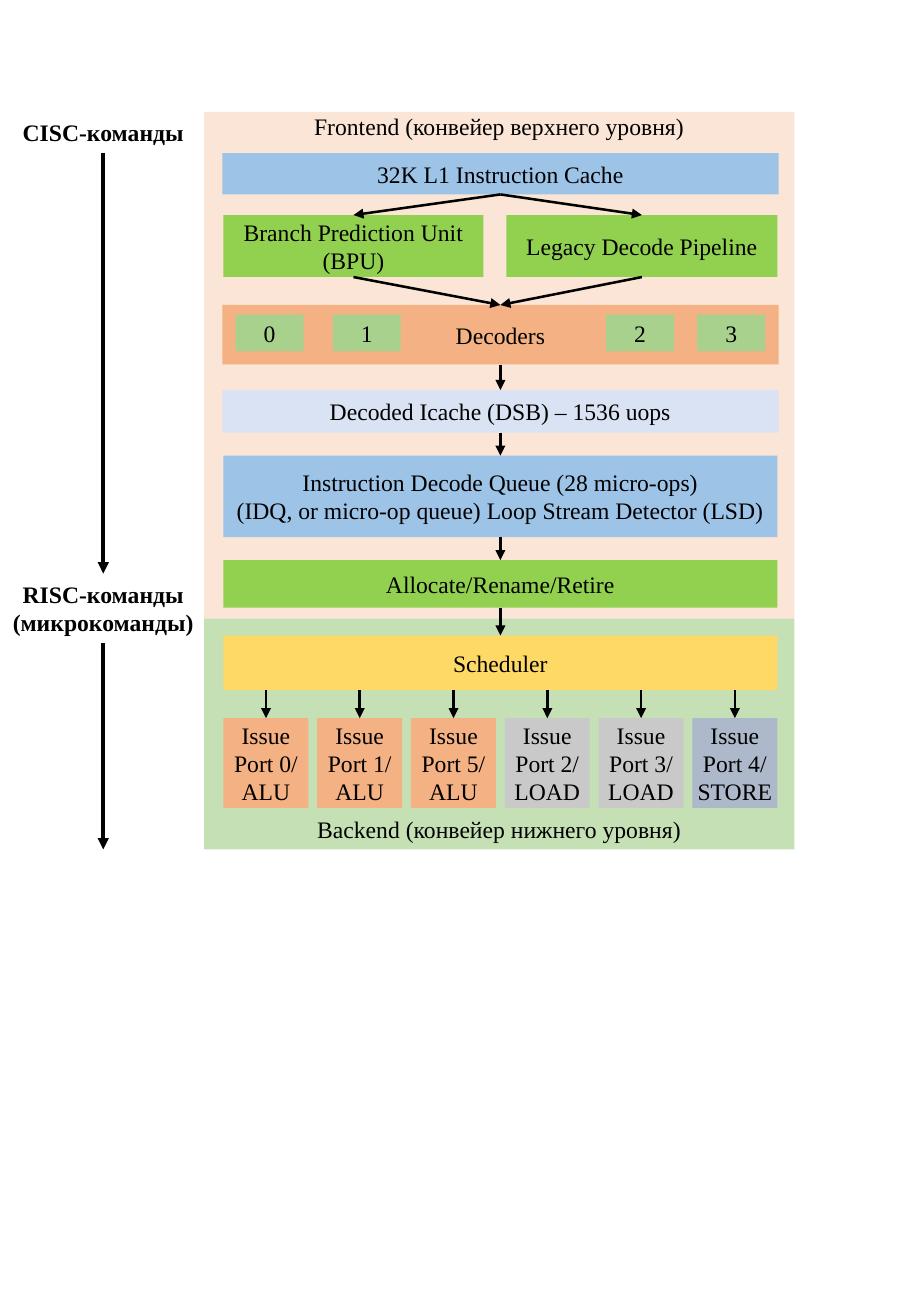
from pptx import Presentation
from pptx.dml.color import RGBColor
from pptx.enum.shapes import MSO_CONNECTOR, MSO_SHAPE
from pptx.enum.text import MSO_ANCHOR, PP_ALIGN
from pptx.oxml.ns import qn
from pptx.util import Inches, Pt
from lxml import etree

RECT = MSO_SHAPE.RECTANGLE
STRAIGHT = MSO_CONNECTOR.STRAIGHT
TOP, MIDDLE, BOTTOM = MSO_ANCHOR.TOP, MSO_ANCHOR.MIDDLE, MSO_ANCHOR.BOTTOM
CENTER = PP_ALIGN.CENTER
TOP_SITE, BOTTOM_SITE = 0, 2

FONT = "Times New Roman"
BLACK, BLUE, PALE_BLUE, GREEN = "000000", "9DC3E6", "DAE3F3", "92D050"
ORANGE, GREY, STEEL, YELLOW = "F4B183", "C9C9C9", "ADB9CA", "FFD966"
PEACH, MINT, SAGE = "FBE5D6", "C5E0B4", "A9D18E"

LEFT, WIDTH = 1.84, 4.56
PORT_W = 0.7
PORTS = [("0", "ALU", ORANGE), ("1", "ALU", ORANGE), ("5", "ALU", ORANGE),
         ("2", "LOAD", GREY), ("3", "LOAD", GREY), ("4", "STORE", STEEL)]
DECODER_LEFTS = [1.94, 2.74, 4.99, 5.74]


def rgb(color):
    return RGBColor.from_string(color)


def write(sp, text, anchor, bold=False):
    tf = sp.text_frame
    tf.word_wrap = True
    tf.vertical_anchor = anchor
    tf.text = text
    for p in tf.paragraphs:
        p.alignment = CENTER
        p.font.name = FONT
        p.font.size = Pt(14)
        p.font.bold = bold
        p.font.color.rgb = rgb(BLACK)


def block(s, left, top, width, height, color, text, anchor=MIDDLE, pad=0.05):
    sp = s.shapes.add_shape(RECT, Inches(left), Inches(top), Inches(width), Inches(height))
    sp.shadow.inherit = False
    sp.fill.solid()
    sp.fill.fore_color.rgb = rgb(color)
    sp.line.fill.background()
    write(sp, text, anchor)
    tf = sp.text_frame
    tf.margin_left = tf.margin_right = 0
    tf.margin_top = tf.margin_bottom = Inches(pad)
    return sp


def label(s, top, height, text):
    sp = s.shapes.add_textbox(0, Inches(top), Inches(1.7), Inches(height))
    write(sp, text, TOP, bold=True)
    return sp


def arrow(s, x1, y1, x2, y2, weight=1.5):
    line = s.shapes.add_connector(STRAIGHT, x1, y1, x2, y2)
    line.line.color.rgb = rgb(BLACK)
    line.line.width = Pt(weight)
    ln = line.line._get_or_add_ln()
    etree.SubElement(ln, qn("a:tailEnd"), type="triangle")
    etree.SubElement(line._element.spPr, qn("a:effectLst"))
    return line


def link(s, upper, lower, weight=1.5):
    line = arrow(s, 0, 0, 0, 0, weight)
    line.begin_connect(upper, BOTTOM_SITE)
    line.end_connect(lower, TOP_SITE)


def main():
    prs = Presentation()
    prs.slide_width, prs.slide_height = Inches(7.5), Inches(10.83)
    s = prs.slides.add_slide(prs.slide_layouts[6])

    # Frontend and backend areas
    backend = block(s, 1.68, 5.09, 4.86, 1.9, MINT, "Backend (конвейер нижнего уровня)", BOTTOM)
    block(s, 1.68, 0.92, 4.86, 4.17, PEACH, "Frontend (конвейер верхнего уровня)", TOP, pad=0)

    # Pipeline stages
    cache = block(s, 1.83, 1.26, 4.58, 0.34, BLUE, "32K L1 Instruction Cache")
    branch = block(s, LEFT, 1.77, 2.14, 0.51, GREEN, "Branch Prediction Unit\n(BPU)")
    legacy = block(s, 4.17, 1.77, 2.23, 0.51, GREEN, "Legacy Decode Pipeline")
    decoders = block(s, 1.83, 2.51, 4.58, 0.49, ORANGE, "Decoders")
    icache = block(s, 1.83, 3.21, 4.58, 0.35, PALE_BLUE, "Decoded Icache (DSB) – 1536 uops")
    queue = block(s, LEFT, 3.75, WIDTH, 0.67, BLUE,
                  "Instruction Decode Queue (28 micro-ops)\n"
                  "(IDQ, or micro-op queue) Loop Stream Detector (LSD)")
    allocate = block(s, LEFT, 4.61, WIDTH, 0.39, GREEN, "Allocate/Rename/Retire")
    scheduler = block(s, LEFT, 5.23, WIDTH, 0.45, YELLOW, "Scheduler")

    for number, left in enumerate(DECODER_LEFTS):
        block(s, left, 2.59, 0.56, 0.3, SAGE, str(number))

    # Links between stages
    for unit in (branch, legacy):
        link(s, cache, unit)
        link(s, unit, decoders)
    chain = [decoders, icache, queue, allocate, scheduler]
    for upper, lower in zip(chain, chain[1:]):
        link(s, upper, lower)

    # Issue ports, spread evenly under the scheduler
    step = (WIDTH - PORT_W) / (len(PORTS) - 1)
    for i, (number, unit, color) in enumerate(PORTS):
        port = block(s, LEFT + i * step, 5.91, PORT_W, 0.74, color,
                     f"Issue\nPort {number}/\n{unit}", pad=0)
        x = port.left + port.width // 2
        arrow(s, x, scheduler.top + scheduler.height, x, port.top).end_connect(port, TOP_SITE)

    # Command flow on the left
    cisc = label(s, 0.92, 0.34, "CISC-команды")
    risc = label(s, 4.72, 0.57, "RISC-команды\n(микрокоманды)")
    link(s, cisc, risc, 2.25)
    x = risc.width // 2
    flow = arrow(s, x, risc.top + risc.height, x, backend.top + backend.height, 2.25)
    flow.begin_connect(risc, BOTTOM_SITE)

    prs.save("out.pptx")


main()
